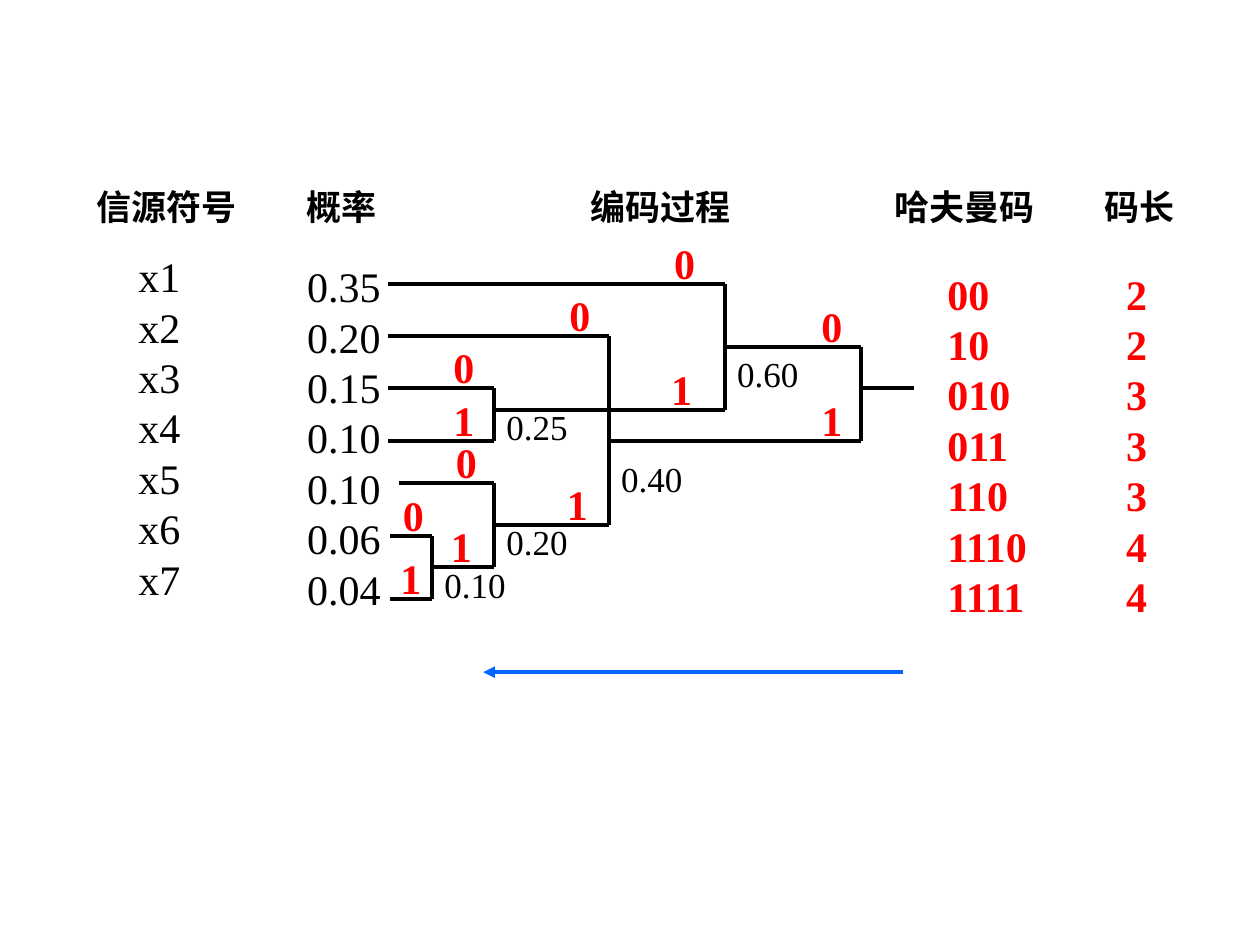
from dataclasses import dataclass

from lxml import etree
from pptx import Presentation
from pptx.dml.color import RGBColor
from pptx.enum.shapes import MSO_CONNECTOR
from pptx.oxml.ns import qn
from pptx.util import Cm, Pt

STRAIGHT = MSO_CONNECTOR.STRAIGHT
SERIF = "Times New Roman"
SANS = "Noto Sans CJK SC"
COLORS = {"text": "000000", "code": "FF0000", "arrow": "0066FF"}
BIT_RISE = 1.06

HEADINGS = [
    ("信源符号", 1.7, 3.4, SERIF),
    ("概率", 5.92, 2.97, SERIF),
    ("编码过程", 11.66, 3.4, SANS),
    ("哈夫曼码", 17.78, 3.4, SERIF),
    ("码长", 22.02, 2.1, SERIF),
]
COLUMNS = [
    (["x1", "x2", "x3", "x4", "x5", "x6", "x7"], 2.54, 4.93, 1.45, "text"),
    (["0.35", "0.20", "0.15", "0.10", "0.10", "0.06", "0.04"], 5.94, 5.13, 2.1, "text"),
    (["00", "10", "010", "011", "110", "1110", "1111"], 18.85, 5.28, 2.34, "code"),
    (["2", "2", "3", "3", "3", "4", "4"], 22.45, 5.28, 1, "code"),
]


@dataclass
class Merge:
    join: float
    upper_start: float
    upper: float
    lower_start: float
    lower: float
    zero_left: float
    one_left: float
    total: str = ""
    total_top: float = 0


MERGES = [
    Merge(9.96, 7.82, 7.82, 7.82, 8.89, 8.89, 8.89, "0.25", 8.05),
    Merge(17.35, 14.61, 6.99, 12.27, 8.89, 16.31, 16.31),
    Merge(14.61, 7.82, 5.72, 9.96, 8.26, 13.34, 13.28, "0.60", 6.99),
    Merge(12.27, 7.82, 6.78, 9.96, 10.59, 11.23, 11.18, "0.40", 9.09),
    Merge(9.96, 8.05, 9.73, 8.69, 11.43, 8.94, 8.84, "0.20", 10.36),
    Merge(8.71, 7.87, 10.8, 7.87, 12.07, 7.87, 7.82, "0.10", 11.23),
]


def add_text(slide, lines, left, top, width, height, size, color="text", bold=False,
             font_name=SERIF):
    box = slide.shapes.add_textbox(Cm(left), Cm(top), Cm(width), Cm(height))
    text_frame = box.text_frame
    text_frame.word_wrap = True
    text_frame.text = "\n".join(lines)
    for paragraph in text_frame.paragraphs:
        paragraph.line_spacing = Pt(size * 1.2)
        for run in paragraph.runs:
            run.font.size = Pt(size)
            run.font.bold = bold
            run.font.color.rgb = RGBColor.from_string(COLORS[color])
            run.font.name = font_name
            east_asian = etree.SubElement(run.font._element, qn("a:ea"))
            east_asian.set("typeface", SANS)


def add_line(slide, start, end, color="text", arrow=False):
    connector = slide.shapes.add_connector(
        STRAIGHT, Cm(start[0]), Cm(start[1]), Cm(end[0]), Cm(end[1]))
    connector.line.width = Pt(2.25)
    connector.line.color.rgb = RGBColor.from_string(COLORS[color])
    if arrow:
        outline = connector.line._get_or_add_ln()
        etree.SubElement(outline, qn("a:tailEnd")).set("type", "triangle")
    etree.SubElement(connector._element.spPr, qn("a:effectLst"))


def add_merge(slide, merge):
    add_line(slide, (merge.upper_start, merge.upper), (merge.join, merge.upper))
    add_line(slide, (merge.lower_start, merge.lower), (merge.join, merge.lower))
    add_line(slide, (merge.join, merge.upper), (merge.join, merge.lower))
    for bit, left, level in (("0", merge.zero_left, merge.upper),
                             ("1", merge.one_left, merge.lower)):
        add_text(slide, [bit], left, level - BIT_RISE, 1, 1.27, 24, "code", True)
    if merge.total:
        add_text(slide, [merge.total], merge.join, merge.total_top, 1.91, 1.12, 20)


def main():
    presentation = Presentation()
    presentation.slide_width = Cm(25.4)
    presentation.slide_height = Cm(19.05)
    slide = presentation.slides.add_slide(presentation.slide_layouts[6])
    for heading, left, width, font_name in HEADINGS:
        add_text(slide, [heading], left, 3.61, width, 1.12, 20, bold=True,
                 font_name=font_name)
    for values, left, top, width, color in COLUMNS:
        add_text(slide, values, left, top, width, 7.37, 24, color, color == "code")
    for merge in MERGES:
        add_merge(slide, merge)
    add_line(slide, (17.35, 7.82), (18.42, 7.82))
    add_line(slide, (18.21, 13.55), (9.74, 13.55), "arrow", True)
    presentation.save("out.pptx")


if __name__ == "__main__":
    main()
